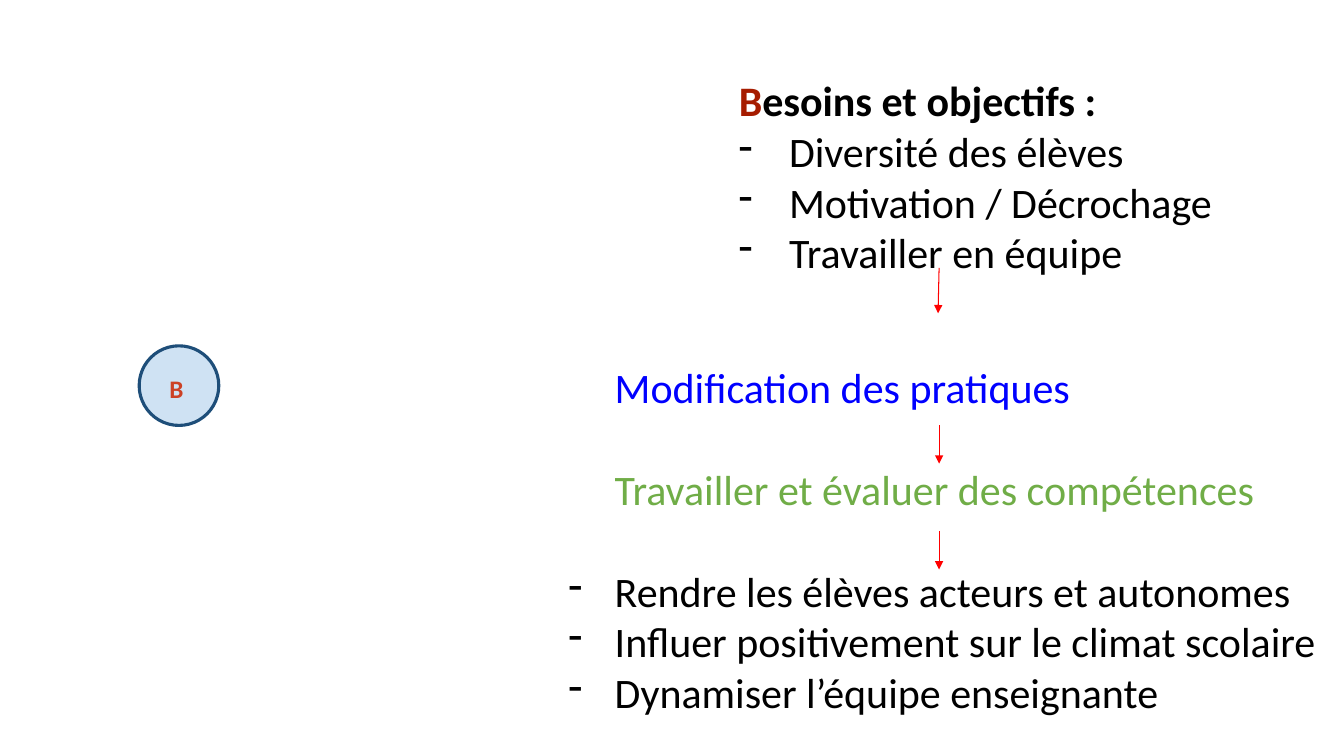
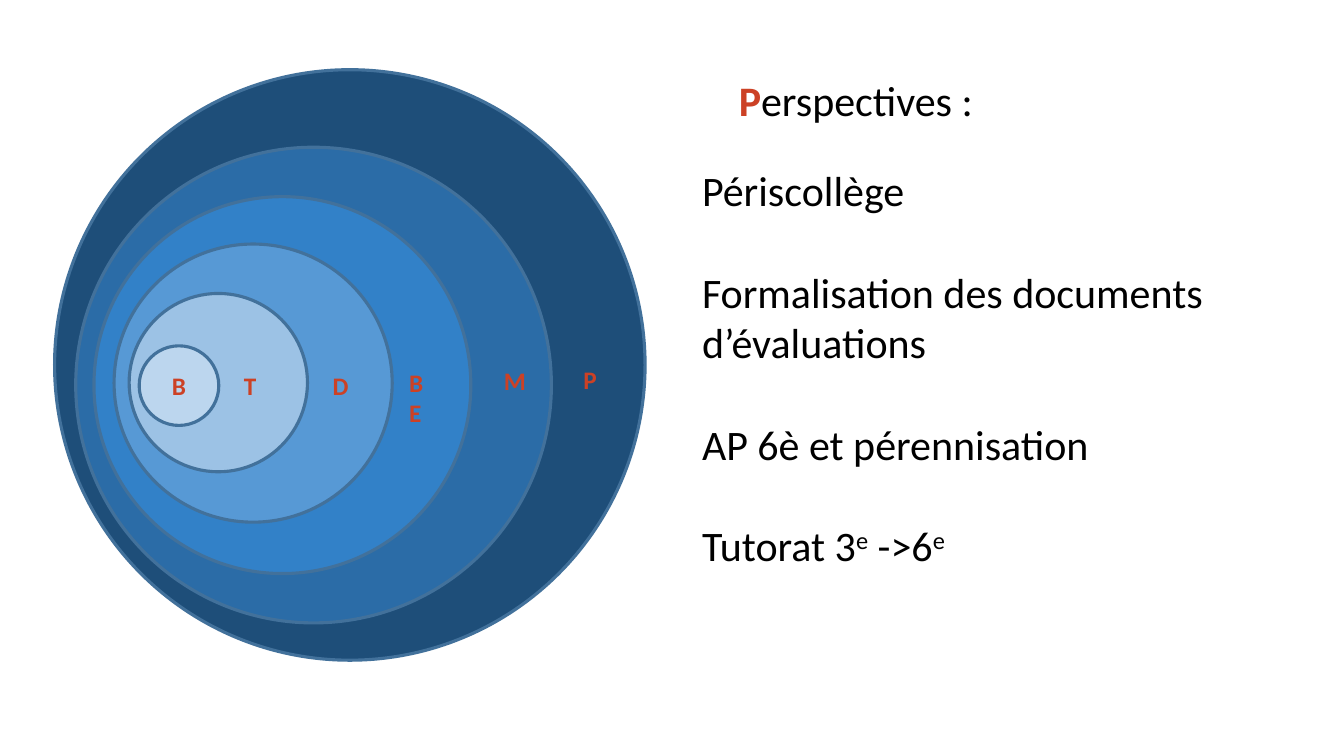
import collections

import pptx
import pptx.dml.color
import pptx.enum.shapes
import pptx.enum.text
import pptx.oxml.ns
import pptx.util
from lxml import etree

Box = collections.namedtuple("Box", "left top width height")

# Square grid cells, 160 columns by 90 rows on a 13.33 by 7.5 inch slide.
COLUMNS, ROWS = 160, 90
CELL = pptx.util.Inches(7.5) // ROWS

FONT = "Calibri"
BODY_SIZE, LABEL_SIZE = 30, 18
BLANK_LINE = 36.6
BLACK, BLUE, GREEN, RED = "000000", "0000FF", "70AD47", "FF0000"
DARK_RED, BRICK = "A61C00", "CC4125"
NAVY, RING_EDGE = "1E4E79", "42719B"

DIAGRAM = Box(6.5, 8.3, 70.3, 70.3)
TITLE = Box(86.75, 8.3, 59.4, 7.3)

# Left, vertical centre and diameter in percent of the diagram box, then fill.
RINGS = [
    (0, 50, 100, "1E4E79"),
    (3.58, 53.41, 80.55, "2B6CA7"),
    (6.66, 53.41, 63.82, "3281C8"),
    (10.07, 53.07, 47.1, "5799D5"),
    (12.63, 52.99, 30.2, "9CC2E5"),
]
CORE = (14.33, 53.5, 13.48)
# Left and top in percent of the diagram box.
RING_LABELS = [
    ("T", 30.38, 50),
    ("D", 45.39, 50),
    ("B E", 58.36, 49.49),
    ("M", 74.4, 49.15),
    ("P", 87.88, 48.98),
]


def cells(count):
    return round(count * CELL)


def emu(box):
    return [cells(length) for length in box]


def rgb(code):
    return pptx.dml.color.RGBColor.from_string(code)


def add_span(para, text, color=BLACK, size=BODY_SIZE, bold=False, raised=False):
    span = para.add_run()
    span.text = text
    span.font.name = FONT
    span.font.size = pptx.util.Pt(size)
    span.font.bold = bold
    span.font.color.rgb = rgb(color)
    if raised:
        span._r.get_or_add_rPr().set("baseline", "30000")


def set_indent(para, margin, hanging=0, bullet=None):
    """Indent in inches; a bullet hangs to the left of the text."""
    props = para._p.get_or_add_pPr()
    props.set("marL", str(pptx.util.Inches(margin)))
    props.set("indent", str(-pptx.util.Inches(hanging)))
    if bullet:
        mark = etree.SubElement(props, pptx.oxml.ns.qn("a:buChar"))
        mark.set("char", bullet)


def add_text_frame(page, box, wrap=True):
    frame = page.shapes.add_textbox(*emu(box)).text_frame
    frame.word_wrap = wrap
    return frame


def next_para(frame):
    """The empty first paragraph, or a new one after the text."""
    para = frame.paragraphs[-1]
    return frame.add_paragraph() if para.runs else para


def add_dashes(frame, items, hanging):
    for item in items:
        para = next_para(frame)
        set_indent(para, 0.5, hanging, "-")
        add_span(para, item)


def add_page(deck, initial, rest, initial_color, rest_bold):
    """A title-only page whose title starts with a coloured initial."""
    page = deck.slides.add_slide(deck.slide_layouts[5])
    title = page.shapes.title
    title.left, title.top, title.width, title.height = emu(TITLE)
    frame = title.text_frame
    frame.auto_size = pptx.enum.text.MSO_AUTO_SIZE.NONE
    frame.vertical_anchor = pptx.enum.text.MSO_ANCHOR.TOP
    para = frame.paragraphs[0]
    para.alignment = pptx.enum.text.PP_ALIGN.LEFT
    add_span(para, initial, initial_color, bold=True)
    add_span(para, rest, bold=rest_bold)
    return page


def add_ring(page, area, left, middle, diameter, fill, edge=RING_EDGE):
    scale = area.width / 100
    box = Box(area.left + left * scale,
              area.top + (middle - diameter / 2) * scale,
              diameter * scale, diameter * scale)
    ring = page.shapes.add_shape(pptx.enum.shapes.MSO_SHAPE.OVAL, *emu(box))
    ring.shadow.inherit = False
    ring.fill.solid()
    ring.fill.fore_color.rgb = rgb(fill)
    ring.line.color.rgb = rgb(edge)
    ring.line.width = pptx.util.Pt(2.25)
    return ring


def add_label(page, area, text, left, top):
    scale = area.width / 100
    box = Box(area.left + left * scale, area.top + top * scale, 5, 4.8)
    frame = add_text_frame(page, box, wrap=False)
    add_span(frame.paragraphs[0], text, BRICK, LABEL_SIZE, bold=True)


def add_nested_rings(page, area):
    for ring in RINGS:
        add_ring(page, area, *ring)
    core = add_ring(page, area, *CORE, "BCD6EE")
    para = core.text_frame.paragraphs[0]
    para.alignment = pptx.enum.text.PP_ALIGN.CENTER
    add_span(para, "B", BRICK, LABEL_SIZE, bold=True)
    for label in RING_LABELS:
        add_label(page, area, *label)


def add_arrow(page, column, top, height, slant=0):
    arrow = page.shapes.add_connector(
        pptx.enum.shapes.MSO_CONNECTOR.STRAIGHT,
        *emu((column, top, column - slant, top + height)))
    arrow.line.color.rgb = rgb(RED)
    arrow.line.width = pptx.util.Pt(0.75)
    tail = etree.SubElement(arrow.line._get_or_add_ln(),
                            pptx.oxml.ns.qn("a:tailEnd"))
    tail.set("type", "triangle")
    etree.SubElement(arrow._element.spPr, pptx.oxml.ns.qn("a:effectLst"))


def add_practices(page, box):
    """Two coloured steps, then the aims they lead to."""
    frame = add_text_frame(page, box)
    for text, color in (("Modification des pratiques", BLUE),
                        ("Travailler et évaluer des compétences", GREEN)):
        para = next_para(frame)
        set_indent(para, 0.5)
        para.space_after = pptx.util.Pt(BLANK_LINE)
        add_span(para, text, color)
    add_dashes(frame, ["Rendre les élèves acteurs et autonomes",
                       "Influer positivement sur le climat scolaire",
                       "Dynamiser l’équipe enseignante"], 0.46)


def add_prospects(page, box):
    frame = add_text_frame(page, box)
    for text in ("Périscollège", "Formalisation des documents d’évaluations",
                 "AP 6è et pérennisation"):
        para = next_para(frame)
        para.space_after = pptx.util.Pt(BLANK_LINE)
        add_span(para, text)
    para = next_para(frame)
    for text, raised in (("Tutorat 3", False), ("e", True),
                         (" ->6", False), ("e", True)):
        add_span(para, text, raised=raised)


def build_needs(deck):
    page = add_page(deck, "B", "esoins et objectifs :", DARK_RED, True)
    needs = add_text_frame(page, Box(TITLE.left, 14.4, TITLE.width, 19.3))
    add_dashes(needs, ["Diversité des élèves", "Motivation / Décrochage",
                       "Travailler en équipe"], 0.5)
    add_practices(page, Box(66, 42.5, 94, 44.5))
    for top, height, slant in ((31.9, 5.4, 0.12), (50.6, 4.6, 0), (63.2, 4.6, 0)):
        add_arrow(page, 111.8, top, height, slant)
    add_ring(page, DIAGRAM, *CORE, "CFE2F3", NAVY)
    add_label(page, DIAGRAM, "B", 17.75, 50.51)


def build_outlook(deck):
    page = add_page(deck, "P", "erspectives :", BRICK, False)
    add_prospects(page, Box(82.4, 19, 69.6, 57.4))
    add_nested_rings(page, DIAGRAM)


def main():
    deck = pptx.Presentation()
    deck.slide_width, deck.slide_height = cells(COLUMNS), cells(ROWS)
    build_needs(deck)
    build_outlook(deck)
    deck.save("out.pptx")


if __name__ == "__main__":
    main()
